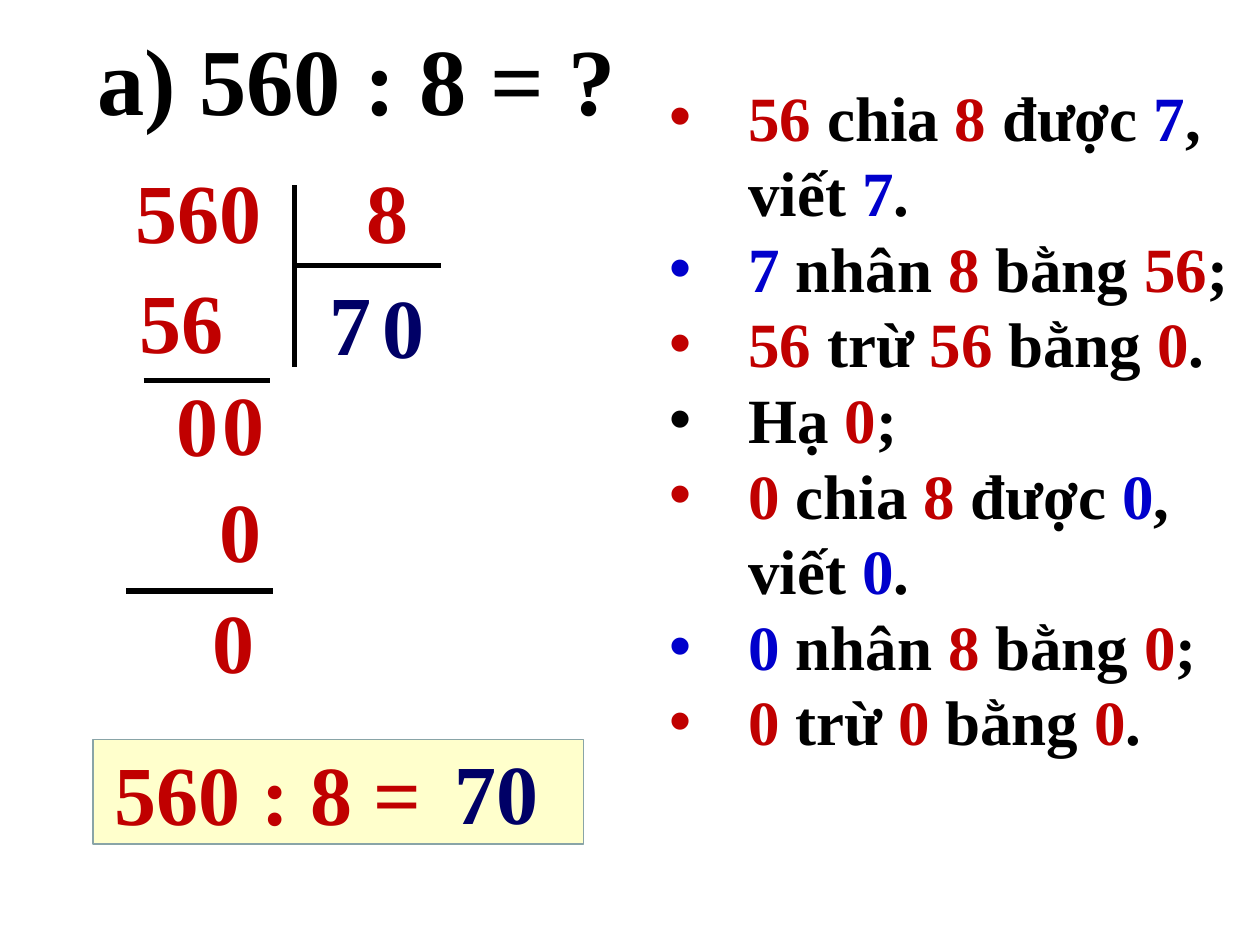
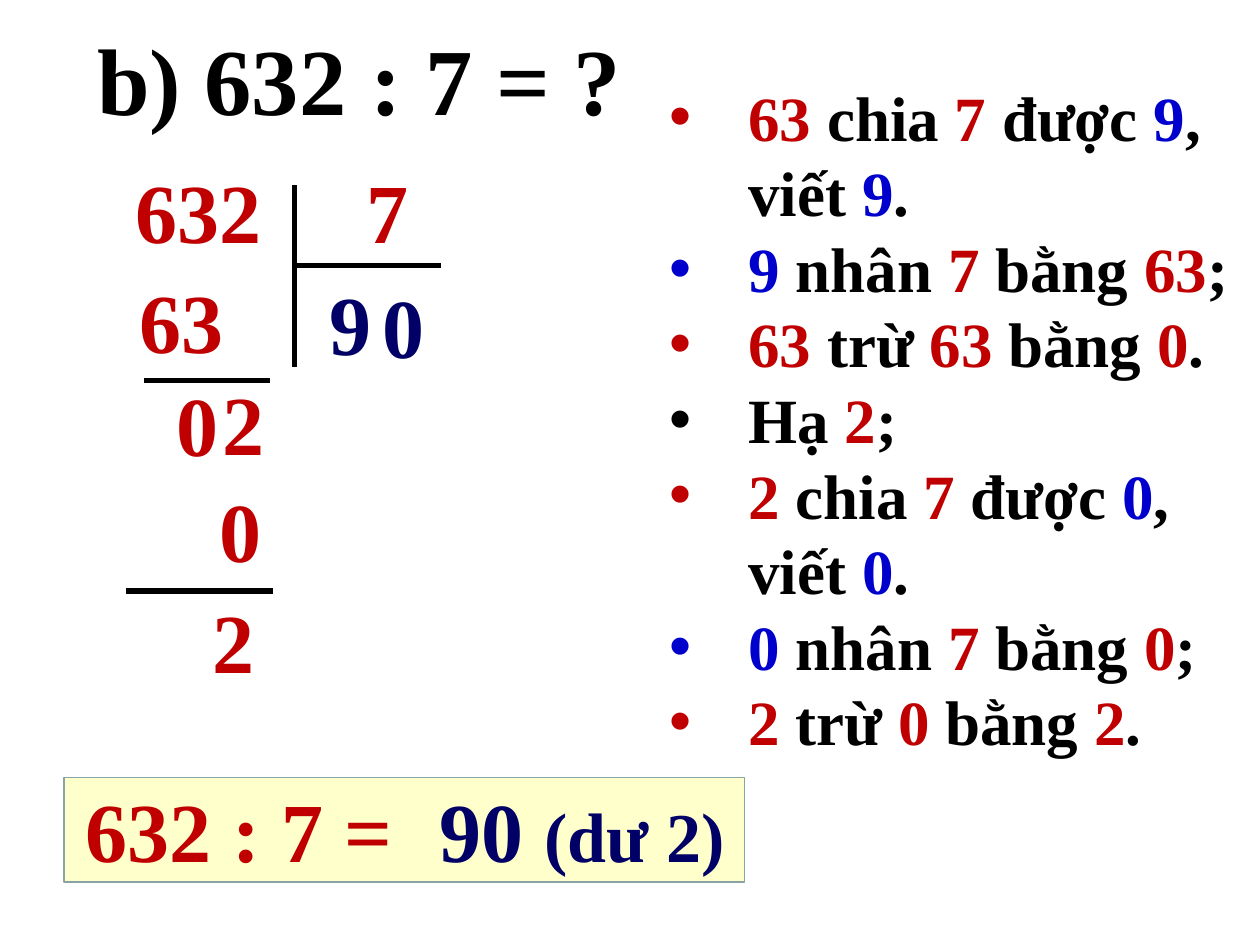
from lxml.etree import SubElement
from pptx import Presentation
from pptx.dml.color import RGBColor
from pptx.enum.shapes import MSO_CONNECTOR, MSO_SHAPE
from pptx.enum.text import MSO_ANCHOR, MSO_AUTO_SIZE, PP_ALIGN
from pptx.oxml.ns import qn
from pptx.util import Inches, Pt

# Content: one division per slide
DIVISIONS = [
    {
        "title": "a) 560 : 8 = ?",
        "dividend": "560", "divisor": "8", "part": "56", "first": "7",
        "brought": "0", "rest": "0",
        "question": "560 : 8 =", "answer": [("70", 48)],
        "band": (0.74, 5.87, 3.89, 0.83),
        "question_at": (0.81, 5.84), "answer_at": (3.51, 5.83),
    },
    {
        "title": "b) 632 : 7 = ?",
        "dividend": "632", "divisor": "7", "part": "63", "first": "9",
        "brought": "2", "rest": "2",
        "question": "632 : 7 =", "answer": [("90 ", 48), ("(dư 2)", 40)],
        "band": (0.51, 6.17, 5.4, 0.83),
        "question_at": (0.58, 6.13), "answer_at": (3.39, 6.13),
    },
]

# Steps of the method: *red*, ~blue~, the rest black
STEPS = [
    "*{part}* chia *{divisor}* được ~{first}~, viết ~{first}~.",
    "~{first}~ nhân *{divisor}* bằng *{part}*;",
    "*{part}* trừ *{part}* bằng *0*.",
    "Hạ *{brought}*;",
    "*{brought}* chia *{divisor}* được ~0~, viết ~0~.",
    "~0~ nhân *{divisor}* bằng *0*;",
    "*{brought}* trừ *0* bằng *{rest}*.",
]

# Shared look
FONT = "Times New Roman"
BLACK, RED, BLUE, NAVY = "000000", "C00000", "0000CC", "000066"
BAND_FILL, BAND_LINE = "FFFFCC", "89A4A7"
TITLE_AT = (0.67, 0.12, 9.17, 1)
STEPS_AT = (5.21, 0.57, 4.79, 5.5)
LINE_FACTOR = 1.2
STEP_INDENT = 0.63

# Written division: field or digit, left, top, colour
DIGITS = [
    ("{dividend}", 0.98, 1.22, RED),
    ("{divisor}", 2.81, 1.22, RED),
    ("{first}", 2.52, 2.11, NAVY),
    ("0", 2.94, 2.13, NAVY),
    ("{part}", 1.01, 2.09, RED),
    ("0", 1.3, 2.91, RED),
    ("{brought}", 1.67, 2.9, RED),
    ("0", 1.64, 3.75, RED),
    ("{rest}", 1.59, 4.63, RED),
]
RULES = [
    (2.34, 1.47, 2.34, 2.91),
    (2.33, 2.11, 3.5, 2.11),
    (1.14, 3.02, 2.14, 3.02),
    (1, 4.69, 2.17, 4.69),
]


def rgb(colour):
    return RGBColor.from_string(colour)


def split_colours(step):
    """Turn a marked step into (text, colour) pairs."""
    pairs = []
    for i, piece in enumerate(step.split("*")):
        if i % 2:
            pairs.append((piece, RED))
        else:
            pairs += [(text, BLUE if j % 2 else BLACK)
                      for j, text in enumerate(piece.split("~"))]
    return [pair for pair in pairs if pair[0]]


def add_bullet(paragraph, colour):
    properties = paragraph._p.get_or_add_pPr()
    properties.set("marL", str(Inches(STEP_INDENT)))
    properties.set("indent", str(-Inches(STEP_INDENT)))
    bullet_colour = SubElement(properties, qn("a:buClr"))
    SubElement(bullet_colour, qn("a:srgbClr"), val=colour)
    SubElement(properties, qn("a:buFont"), typeface="Arial")
    SubElement(properties, qn("a:buChar"), char="•")


def write(paragraph, text, size=48, colour=BLACK):
    """Add a bold run and fix the line height of its paragraph."""
    paragraph.alignment = PP_ALIGN.LEFT
    paragraph.space_before = Pt(0)
    if not paragraph.runs:
        paragraph.line_spacing = Pt(size * LINE_FACTOR)
    run = paragraph.add_run()
    run.text = text
    run.font.name = FONT
    run.font.size = Pt(size)
    run.font.bold = True
    run.font.color.rgb = rgb(colour)


def place(placeholder, box):
    placeholder.left, placeholder.top, placeholder.width, placeholder.height = map(Inches, box)
    frame = placeholder.text_frame
    frame.auto_size = MSO_AUTO_SIZE.NONE
    frame.vertical_anchor = MSO_ANCHOR.TOP
    frame.word_wrap = True
    return frame


def add_label(slide, left, top, runs, colour):
    """One line of text made of (text, size) runs."""
    width = 0.2 + sum(len(text) * size / 144 for text, size in runs)
    box = slide.shapes.add_textbox(*map(Inches, (left, top, width, 0.9)))
    box.text_frame.word_wrap = False
    for text, size in runs:
        write(box.text_frame.paragraphs[0], text, size=size, colour=colour)


def add_rule(slide, ends):
    rule = slide.shapes.add_connector(MSO_CONNECTOR.STRAIGHT, *map(Inches, ends))
    rule.line.color.rgb = rgb(BLACK)
    rule.line.width = Pt(3)
    SubElement(rule._element.spPr, qn("a:effectLst"))


def add_band(slide, box):
    band = slide.shapes.add_shape(MSO_SHAPE.RECTANGLE, *map(Inches, box))
    band.shadow.inherit = False
    band.fill.solid()
    band.fill.fore_color.rgb = rgb(BAND_FILL)
    band.line.color.rgb = rgb(BAND_LINE)
    band.line.width = Pt(1)


def build_slide(deck, division):
    slide = deck.slides.add_slide(deck.slide_layouts[1])

    # Title
    title = place(slide.shapes.title, TITLE_AT)
    write(title.paragraphs[0], division["title"], size=54)

    # Spoken steps
    steps = place(slide.placeholders[1], STEPS_AT)
    for i, step in enumerate(STEPS):
        paragraph = steps.add_paragraph() if i else steps.paragraphs[0]
        pairs = split_colours(step.format(**division))
        add_bullet(paragraph, pairs[0][1])
        for text, colour in pairs:
            write(paragraph, text, size=36, colour=colour)

    # Written division
    for digits, left, top, colour in DIGITS:
        add_label(slide, left, top, [(digits.format(**division), 48)], colour)
    for ends in RULES:
        add_rule(slide, ends)

    # Result
    add_band(slide, division["band"])
    add_label(slide, *division["question_at"], [(division["question"], 48)], RED)
    add_label(slide, *division["answer_at"], division["answer"], NAVY)


def main():
    deck = Presentation()
    deck.slide_width, deck.slide_height = Inches(10), Inches(7.5)
    for division in DIVISIONS:
        build_slide(deck, division)
    deck.save("out.pptx")


if __name__ == "__main__":
    main()
